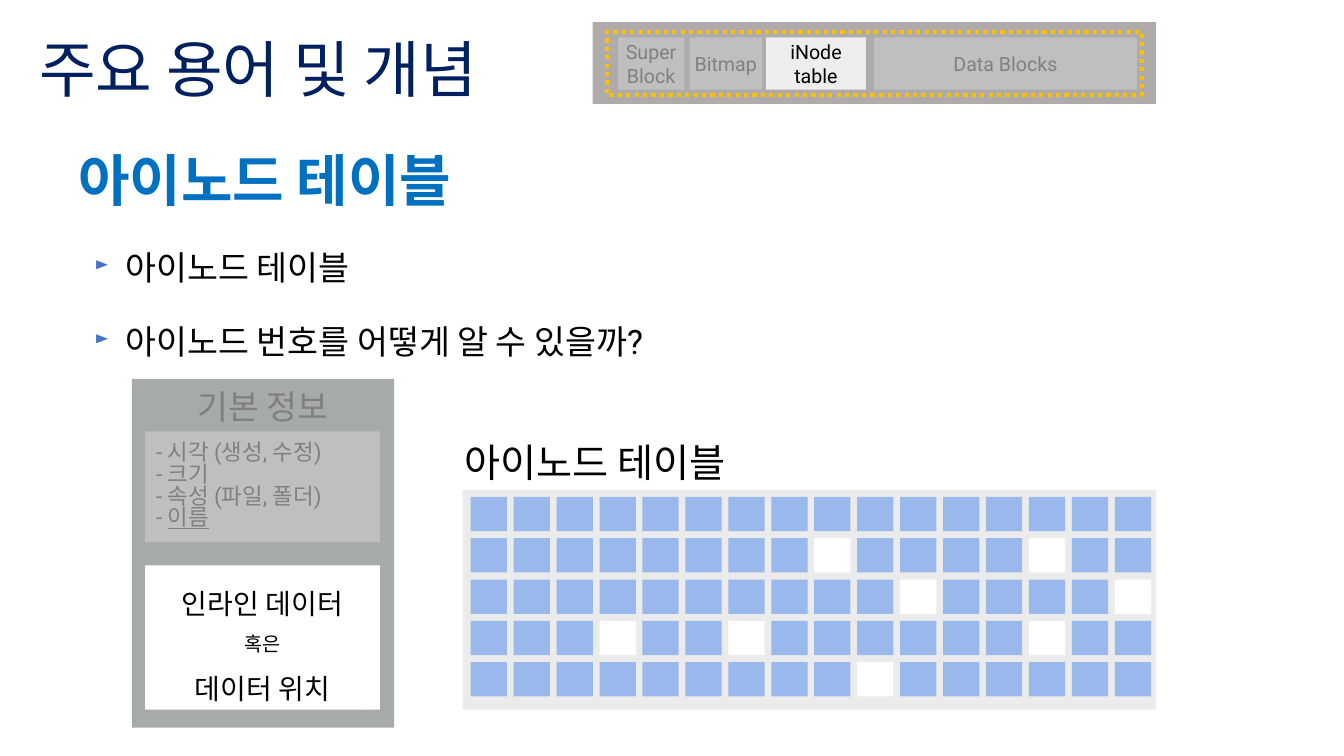
from dataclasses import dataclass

from lxml import etree
from pptx import Presentation
from pptx import util as u
from pptx.dml.color import RGBColor
from pptx.enum import dml, shapes, text
from pptx.oxml.ns import qn


@dataclass(frozen=True)
class Theme:
    """Colours, fonts and type sizes of the slide."""
    navy: str = "002060"
    blue: str = "0070C0"
    bullet: str = "4472C4"
    black: str = "000000"
    white: str = "FFFFFF"
    muted: str = "808080"
    card: str = "A6AAA9"
    block: str = "BFBFBF"
    disk: str = "AFABAB"
    active: str = "EDEDED"
    amber: str = "FFC000"
    panel: str = "EBEBEB"
    inode: str = "99B8EB"
    title_font: str = "Cabin"
    font: str = "Roboto"
    title: int = 44
    heading: int = 40
    caption: int = 28
    body: int = 24
    data: int = 20
    note: int = 16
    label: int = 14


T = Theme()
UNIT = u.Inches(0.1)
SLIDE_COLS, SLIDE_ROWS = 133.33, 75
CENTER = text.PP_ALIGN.CENTER
MIDDLE = text.MSO_ANCHOR.MIDDLE


def place(box, left, top, width, height):
    """Return a box in grid units set relative to the corner of another."""
    return box[0] + left, box[1] + top, width, height


def lengths(box):
    """Turn grid units into slide lengths."""
    return [int(n * UNIT) for n in box]


def add_rect(parent, box, fill=None):
    """Add a plain rectangle without outline."""
    sp = parent.shapes.add_shape(shapes.MSO_SHAPE.RECTANGLE, *lengths(box))
    sp.shadow.inherit = False
    sp.line.fill.background()
    if fill:
        sp.fill.solid()
        sp.fill.fore_color.rgb = RGBColor.from_string(fill)
    else:
        sp.fill.background()
    return sp


def add_bullet(p):
    """Give a paragraph a small arrow bullet with a hanging indent."""
    pPr = p._p.get_or_add_pPr()
    pPr.set("marL", str(u.Inches(0.31)))
    pPr.set("indent", str(-u.Inches(0.31)))
    clr = etree.SubElement(pPr, qn("a:buClr"))
    etree.SubElement(clr, qn("a:srgbClr"), val=T.bullet)
    etree.SubElement(pPr, qn("a:buSzPct"), val="55000")
    etree.SubElement(pPr, qn("a:buChar"), char="►")


def write(sp, paragraphs, size, color, font=T.font, align=text.PP_ALIGN.LEFT,
          anchor=text.MSO_ANCHOR.TOP, spacing=1.0, before=0, inset=(0.06, 0.06),
          left=None, bold=None, bullets=False):
    """Write paragraphs, each a list of (words, run options) pairs."""
    tf = sp.text_frame
    tf.word_wrap = True
    tf.vertical_anchor = anchor
    tf.margin_left = u.Inches(left or inset[0])
    tf.margin_right = u.Inches(inset[0])
    tf.margin_top = tf.margin_bottom = u.Inches(inset[1])
    for i, runs in enumerate(paragraphs):
        p = tf.paragraphs[0] if i == 0 else tf.add_paragraph()
        p.alignment = align
        p.line_spacing = spacing
        if i and before:
            p.space_before = u.Pt(before)
        if bullets:
            add_bullet(p)
        for words, options in runs:
            for n, line in enumerate(words.split("\n")):
                if n:
                    p.add_line_break()
                r = p.add_run()
                r.text = line
                r.font.name = font
                r.font.size = u.Pt(options.get("size", size))
                r.font.bold = bold
                r.font.underline = options.get("underline")
                r.font.color.rgb = RGBColor.from_string(color)


def add_text(s, box, lines, size, color, **style):
    """Add a text box holding one paragraph per line."""
    sp = s.shapes.add_textbox(*lengths(box))
    write(sp, [[(line, {})] for line in lines], size, color, inset=(0.1, 0.05), **style)


def add_copy(s, box):
    """Add the title, the heading and the bullet list."""
    add_text(s, place(box, 8.4, 22, 113.4, 50.8),
             ["아이노드 테이블", "아이노드 번호를 어떻게 알 수 있을까?"],
             T.body, T.black, spacing=1.5, before=10, bullets=True)
    add_text(s, place(box, 6.8, 15.2, 122.1, 7.1), ["아이노드 테이블"],
             T.heading, T.blue, spacing=0.8, bold=True)
    add_text(s, place(box, 2.9, 2.2, 114.2, 9.9), ["주요 용어 및 개념"],
             T.title, T.navy, font=T.title_font, anchor=MIDDLE, spacing=0.9)


def add_inode_card(s, box):
    """Add the card that shows what one inode holds."""
    grp = s.shapes.add_group_shape()
    add_rect(grp, box, T.card)
    sp = add_rect(grp, place(box, 0.7, 0.9, 24.6, 15.5), T.card)
    write(sp, [[("기본 정보", {})]], T.body, T.muted, align=CENTER, spacing=0.8)
    sp = add_rect(grp, place(box, 1.3, 5.2, 23.3, 11), T.block)
    facts = [[("- 시각 (생성, 수정)", {})], [("- 크기", {})],
             [("- 속성 (파일, 폴더)", {})], [("- ", {}), ("이름", {"underline": True})]]
    write(sp, facts, T.note, T.muted, anchor=MIDDLE, spacing=0.8, left=0.11)
    sp = add_rect(grp, place(box, 1.3, 18.5, 23.3, 14.3), T.white)
    data = [[("인라인 데이터", {})], [("혹은", {"size": T.label})], [("데이터 위치", {})]]
    write(sp, data, T.data, T.black, align=CENTER, anchor=MIDDLE, spacing=1.5)


def add_inode_table(s, box):
    """Add the captioned grid of used and free inodes."""
    free = {(1, 8), (1, 13), (2, 10), (2, 15), (3, 3), (3, 6), (3, 13), (4, 9)}
    grp = s.shapes.add_group_shape()
    sp = add_rect(grp, box, T.white)
    write(sp, [[("아이노드 테이블", {})]], T.caption, T.black, spacing=0.8, left=0.15)
    add_rect(grp, place(box, 1.3, 4.8, 68.8, 21.8), T.panel)
    for col in range(16):
        for row in range(5):
            cell = place(box, 2.1 + 4.26 * col, 5.5 + 4.1 * row, 3.6, 3.4)
            add_rect(grp, cell, T.white if (row, col) in free else T.inode)


def add_disk_layout(s, box):
    """Add the strip of disk areas with the inode table lit."""
    grp = s.shapes.add_group_shape()
    add_rect(grp, box, T.disk)
    frame = add_rect(grp, place(box, 1.4, 1, 53.1, 6.2))
    frame.line.color.rgb = RGBColor.from_string(T.amber)
    frame.line.width = u.Pt(3)
    frame.line.dash_style = dml.MSO_LINE.ROUND_DOT
    areas = [("Super Block", 2.5, 6.6, T.block, T.muted),
             ("Bitmap", 9.6, 7.2, T.block, T.muted),
             ("iNode\ntable", 17.2, 9.9, T.active, T.black),
             ("Data Blocks", 27.9, 26.1, T.block, T.muted)]
    for name, left, width, fill, color in areas:
        sp = add_rect(grp, place(box, left, 1.5, width, 5.2), fill)
        write(sp, [[(name, {})]], T.label, color, align=CENTER, anchor=MIDDLE,
              inset=(0.04, 0.04))


def main():
    """Build the slide and save it."""
    prs = Presentation()
    prs.slide_width, prs.slide_height = lengths((SLIDE_COLS, SLIDE_ROWS))
    s = prs.slides.add_slide(prs.slide_layouts[6])
    add_copy(s, (0, 0, SLIDE_COLS, SLIDE_ROWS))
    add_inode_card(s, (13.1, 37.6, 26, 34.6))
    add_inode_table(s, (44.6, 43.8, 71.4, 27.7))
    add_disk_layout(s, (58.8, 2.2, 55.9, 8.1))
    prs.save("out.pptx")


if __name__ == "__main__":
    main()
